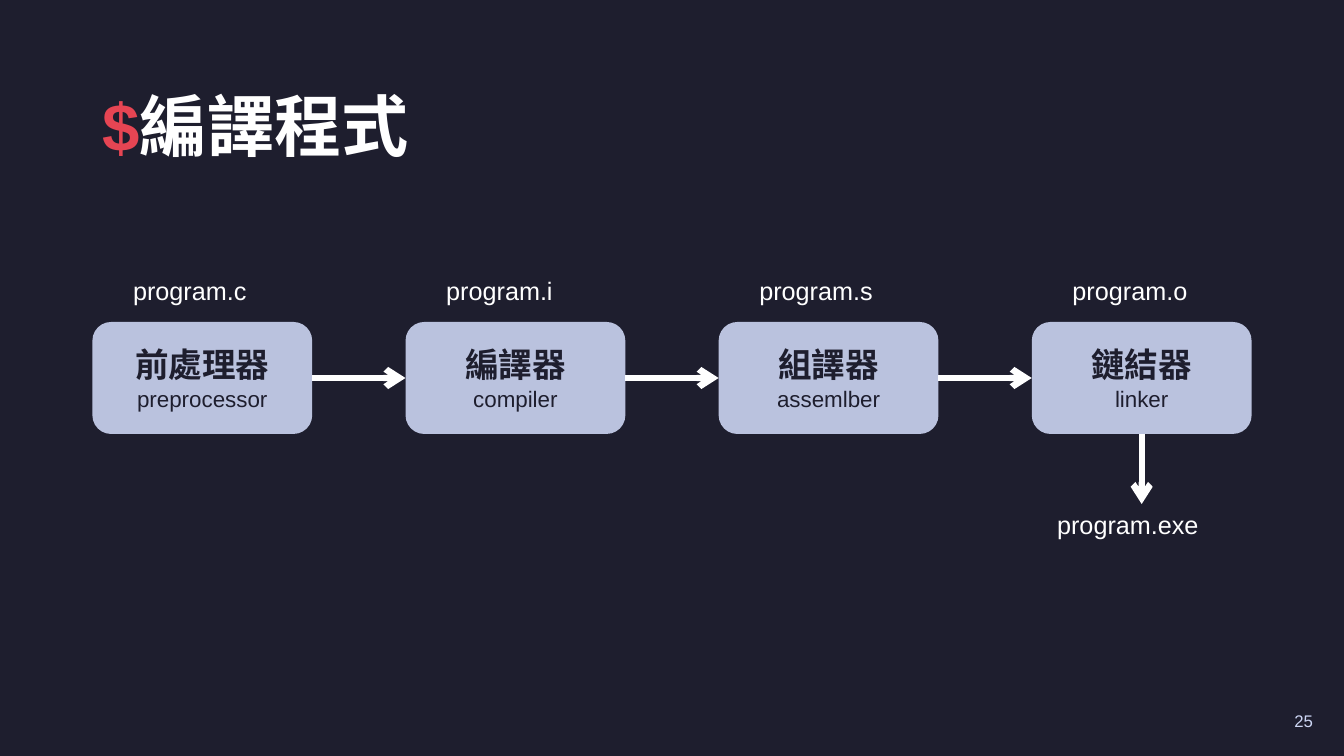
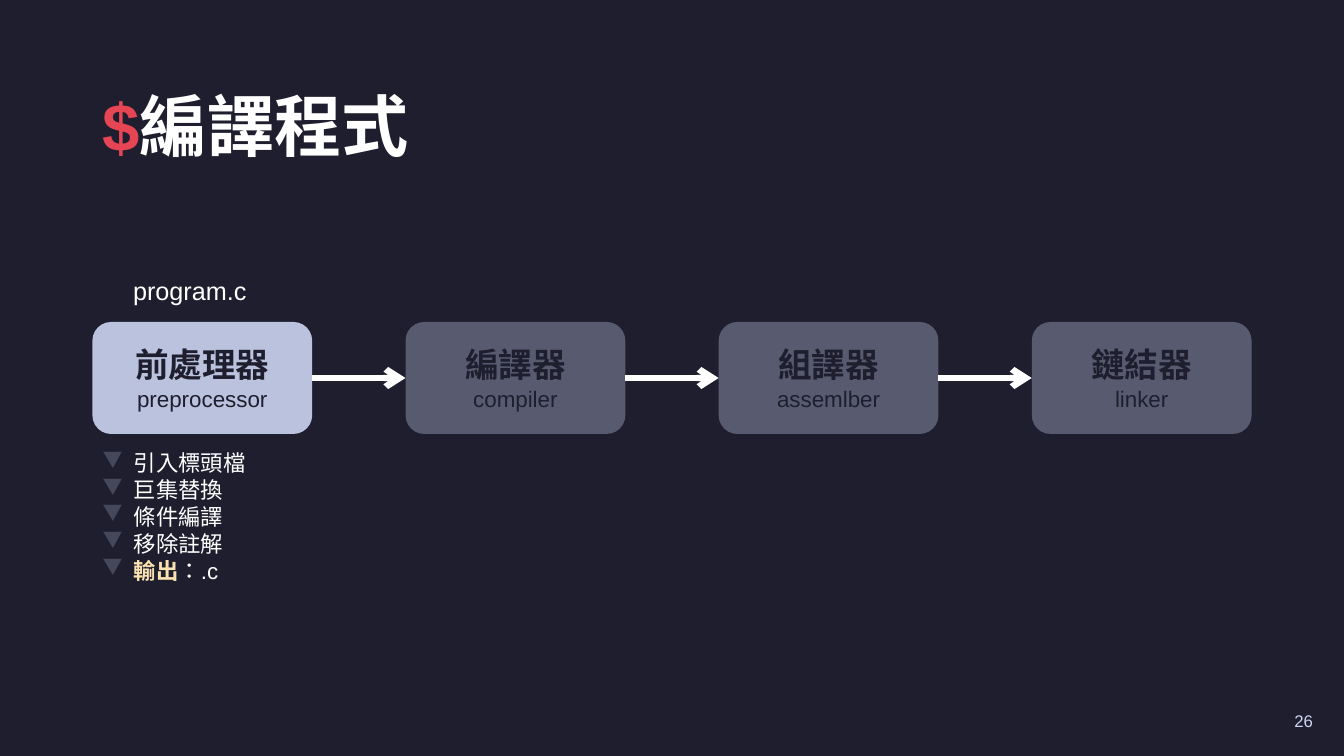
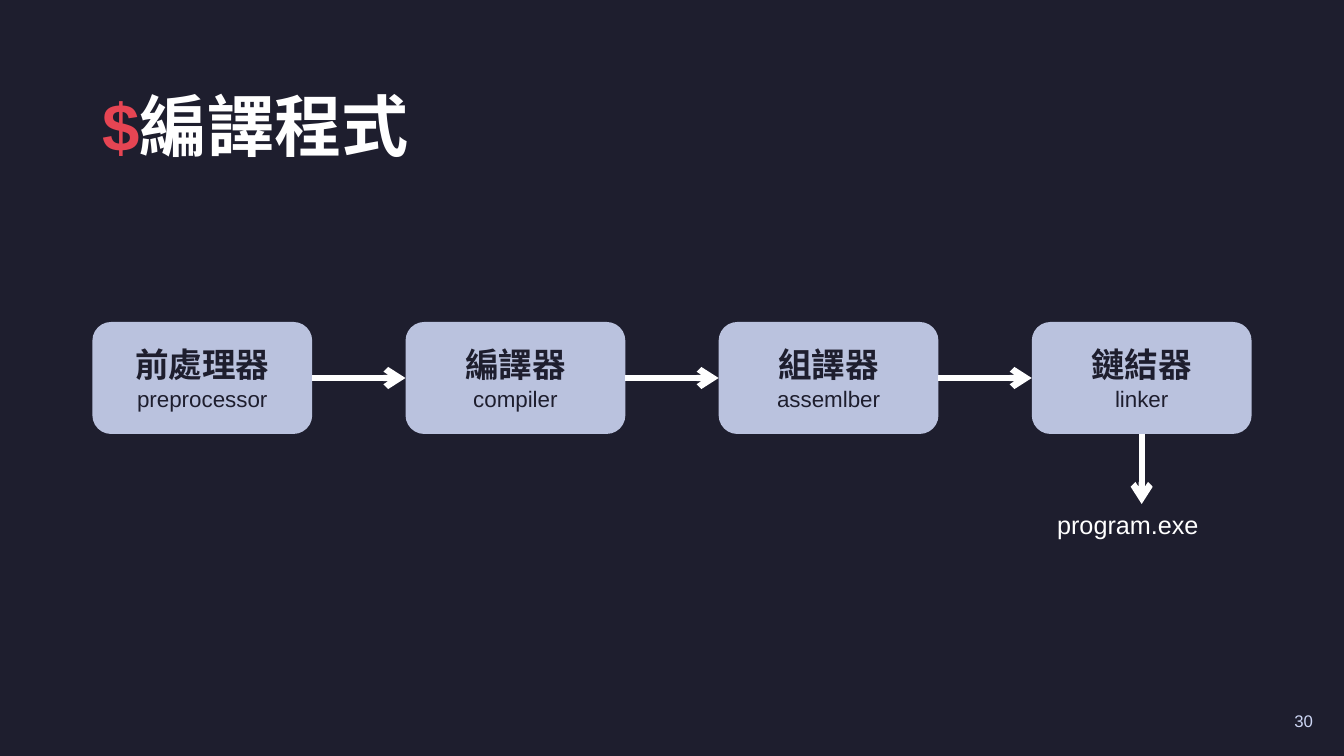
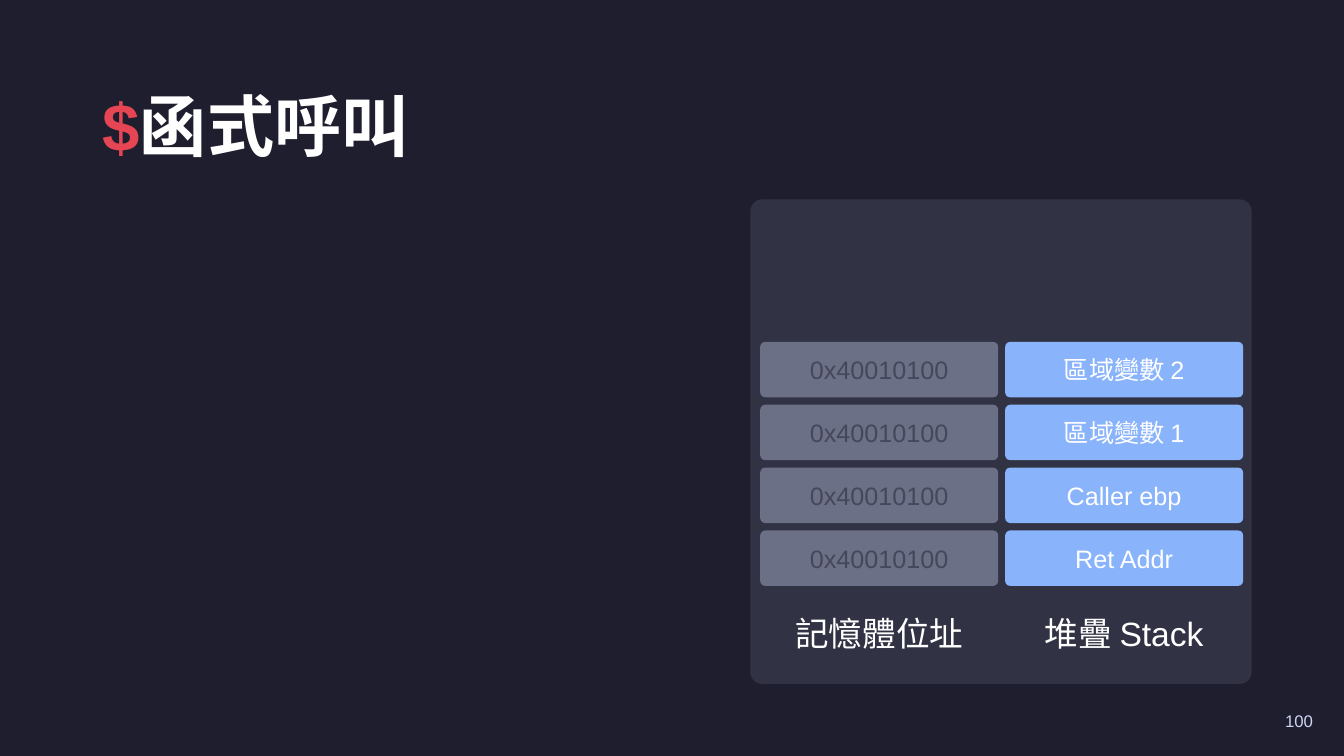
import pptx
import pptx.dml.color
import pptx.enum.lang
import pptx.enum.shapes
import pptx.enum.text
import pptx.oxml.ns
import pptx.util
import lxml.etree

Pt = pptx.util.Pt
SHAPES = pptx.enum.shapes.MSO_SHAPE
ALIGN = pptx.enum.text.PP_ALIGN
ANCHOR = pptx.enum.text.MSO_ANCHOR
LANGUAGE = pptx.enum.lang.MSO_LANGUAGE_ID.TRADITIONAL_CHINESE

FONT = "Arial"
BASE, PANEL, CELL, MUTED, DIM = "1E1E2E", "313244", "6C7086", "585B70", "45475A"
WHITE, LAVENDER, BLUE, RED, YELLOW, PALE = "FFFFFF", "BAC2DE", "89B3FA", "E64553", "F9E2AF", "CDD6F4"

STAGES = [
    ("前處理器", "preprocessor"),
    ("編譯器", "compiler"),
    ("組譯器", "assemlber"),
    ("鏈結器", "linker"),
]
SOURCES = ["program.c", "program.i", "program.s", "program.o"]
PREPROCESSOR_TASKS = ["引入標頭檔", "巨集替換", "條件編譯", "移除註解",
                      [("輸出", {"color": YELLOW, "bold": True}), ("：.c", {})]]
PIPELINES = [
    {"number": 25, "active": 4, "labels": SOURCES, "output": "program.exe", "tasks": []},
    {"number": 26, "active": 1, "labels": SOURCES[:1], "output": None, "tasks": PREPROCESSOR_TASKS},
    {"number": 30, "active": 4, "labels": [], "output": "program.exe", "tasks": []},
]
ADDRESS = "0x40010100"
STACK = ["區域變數 2", "區域變數 1", "Caller ebp", "Ret Addr"]
STACK_CAPTIONS = ["記憶體位址", "堆疊 Stack"]

LEFT, WIDTH = 66, 828
TITLE_AREA = (LEFT, 56, WIDTH, 73.5)
NUMBER_AREA = (729, 500.5, 216, 29)
STAGE_TOP, STAGE_WIDTH, STAGE_HEIGHT = 230, 157, 80
STAGE_PITCH = (WIDTH - STAGE_WIDTH) / (len(STAGES) - 1)
LABEL_TOP, LABEL_WIDTH, LABEL_HEIGHT = 193, 113, 29
OUTPUT_TOP, OUTPUT_WIDTH = 360, 135
TASKS_TOP, TASKS_HEIGHT, TASK_INDENT = 317.5, 104.5, 22.5
PANEL_AREA = (536, 142.5, 358, 346)
CELL_COLUMNS, CELL_WIDTH, CELL_HEIGHT = (543, 718), 170, 39.6
CELL_TOP, CELL_PITCH = 244.2, 44.9
CAPTION_TOP, CAPTION_HEIGHT = 424, 57


def rgb(value):
    return pptx.dml.color.RGBColor.from_string(value)


def place(shape, area):
    shape.left, shape.top, shape.width, shape.height = map(Pt, area)


def add_bullet(para):
    properties = para._p.get_or_add_pPr()
    properties.set("marL", str(Pt(TASK_INDENT)))
    properties.set("indent", str(-Pt(TASK_INDENT)))
    qualify = pptx.oxml.ns.qn
    tint = lxml.etree.SubElement(properties, qualify("a:buClr"))
    lxml.etree.SubElement(tint, qualify("a:srgbClr")).set("val", DIM)
    lxml.etree.SubElement(properties, qualify("a:buChar")).set("char", "▼")


def write(frame, paragraphs, size=18, color=WHITE, bold=False, align=ALIGN.LEFT,
          anchor=ANCHOR.TOP, bullet=False, line_spacing=None):
    frame.word_wrap = True
    frame.vertical_anchor = anchor
    for index, content in enumerate(paragraphs):
        para = frame.add_paragraph() if index else frame.paragraphs[0]
        para.alignment = align
        if line_spacing:
            para.line_spacing = line_spacing
        if bullet:
            add_bullet(para)
        spans = [(content, {})] if isinstance(content, str) else content
        for text, style in spans:
            span = para.add_run()
            span.text = text
            span.font.name = FONT
            span.font.language_id = LANGUAGE
            span.font.size = Pt(style.get("size", size))
            span.font.bold = style.get("bold", bold)
            span.font.color.rgb = rgb(style.get("color", color))


def add_text(page, area, paragraphs, **style):
    box = page.shapes.add_textbox(*map(Pt, area))
    write(box.text_frame, paragraphs, **style)
    return box


def add_box(page, area, fill, paragraphs=(), corner=None, **style):
    box = page.shapes.add_shape(SHAPES.ROUNDED_RECTANGLE, *map(Pt, area))
    box.shadow.inherit = False
    box.fill.solid()
    box.fill.fore_color.rgb = rgb(fill)
    box.line.fill.background()
    if corner is not None:
        box.adjustments[0] = corner
    write(box.text_frame, paragraphs, align=ALIGN.CENTER, anchor=ANCHOR.MIDDLE, **style)
    return box


def add_arrow(page, start, start_site, end, end_site):
    arrow = page.shapes.add_connector(pptx.enum.shapes.MSO_CONNECTOR.STRAIGHT, 0, 0, 0, 0)
    arrow.begin_connect(start, start_site)
    arrow.end_connect(end, end_site)
    arrow.line.width = Pt(4.5)
    arrow.line.color.rgb = rgb(WHITE)
    qualify = pptx.oxml.ns.qn
    lxml.etree.SubElement(arrow.line._get_or_add_ln(), qualify("a:tailEnd")).set("type", "arrow")
    lxml.etree.SubElement(arrow._element.spPr, qualify("a:effectLst"))


def add_page(deck, title, number):
    page = deck.slides.add_slide(deck.slide_layouts[5])
    place(page.shapes.title, TITLE_AREA)
    write(page.shapes.title.text_frame, [[("$", {"color": RED}), (title, {})]],
          size=48, bold=True, anchor=ANCHOR.MIDDLE, line_spacing=0.9)
    add_text(page, NUMBER_AREA, [str(number)], size=12, color=PALE,
             align=ALIGN.RIGHT, anchor=ANCHOR.MIDDLE)
    return page


def add_pipeline(deck, number, active, labels, output, tasks):
    page = add_page(deck, "編譯程式", number)
    lefts = [LEFT + index * STAGE_PITCH for index in range(len(STAGES))]
    boxes = []
    for index, (name, english) in enumerate(STAGES):
        fill = LAVENDER if index < active else MUTED
        boxes.append(add_box(page, (lefts[index], STAGE_TOP, STAGE_WIDTH, STAGE_HEIGHT), fill,
                             [[(name, {"size": 24, "bold": True})], english],
                             size=16, color=BASE))
    for start, end in zip(boxes, boxes[1:]):
        add_arrow(page, start, 3, end, 1)
    for left, label in zip(lefts, labels):
        label_left = left + (STAGE_WIDTH - LABEL_WIDTH) / 2
        add_text(page, (label_left, LABEL_TOP, LABEL_WIDTH, LABEL_HEIGHT), [label])
    if output:
        output_left = lefts[-1] + (STAGE_WIDTH - OUTPUT_WIDTH) / 2
        result = add_text(page, (output_left, OUTPUT_TOP, OUTPUT_WIDTH, LABEL_HEIGHT), [output])
        add_arrow(page, boxes[-1], 2, result, 0)
    if tasks:
        add_text(page, (LEFT, TASKS_TOP, STAGE_WIDTH, TASKS_HEIGHT), tasks, size=16, bullet=True)


def add_stack(deck):
    page = add_page(deck, "函式呼叫", 100)
    add_box(page, PANEL_AREA, PANEL, corner=0.024)
    for row, entry in enumerate(STACK):
        top = CELL_TOP + row * CELL_PITCH
        cells = [(ADDRESS, CELL, DIM), (entry, BLUE, WHITE)]
        for left, (text, fill, color) in zip(CELL_COLUMNS, cells):
            add_box(page, (left, top, CELL_WIDTH, CELL_HEIGHT), fill, [text],
                    corner=0.09, color=color)
    for left, caption in zip(CELL_COLUMNS, STACK_CAPTIONS):
        add_box(page, (left, CAPTION_TOP, CELL_WIDTH, CAPTION_HEIGHT), PANEL, [caption],
                corner=0.09, size=24)


def main():
    deck = pptx.Presentation()
    deck.slide_width, deck.slide_height = Pt(960), Pt(540)
    background = deck.slide_master.background.fill
    background.solid()
    background.fore_color.rgb = rgb(BASE)
    for pipeline in PIPELINES:
        add_pipeline(deck, **pipeline)
    add_stack(deck)
    deck.save("out.pptx")


if __name__ == "__main__":
    main()
